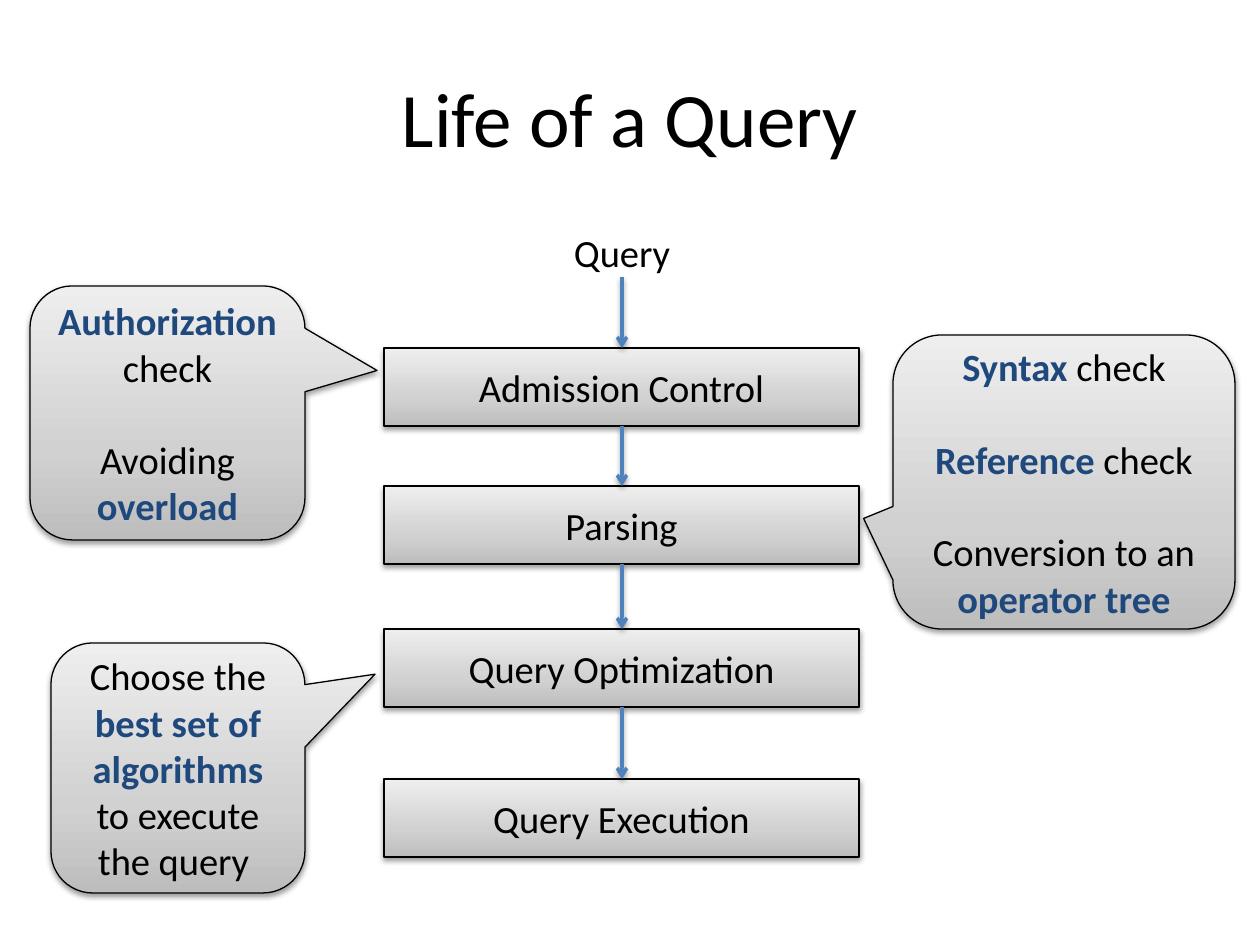
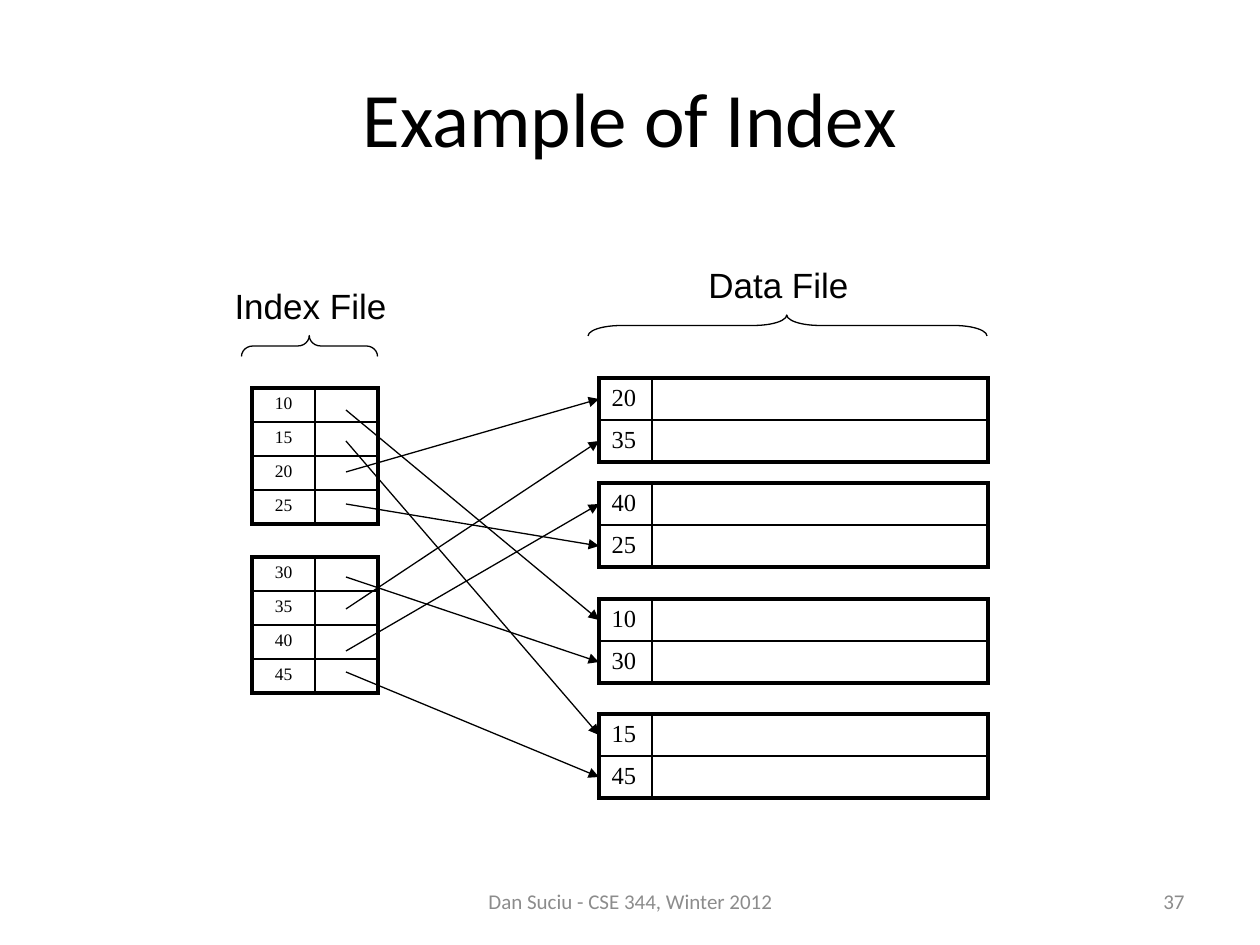
import pptx
import pptx.dml.color
import pptx.enum.dml
import pptx.enum.shapes
import pptx.enum.text
import pptx.oxml.ns
import pptx.util
from lxml import etree

PIXEL = 914400 / 126
BLACK, ARROW_BLUE, TERM_BLUE, GRAY = "000000", "4F81BD", "1F497D", "8C8C8C"
GRADIENT = [(0, "BDBDBD"), (35, "D1D1D1"), (100, "EEEEEE")]
BODY_FONT, LABEL_FONT, TABLE_FONT = "Calibri", "Arial", "Times New Roman"
BODY_SIZE = 22
BLANK_LINE = 26.5
THICK, THIN = 2.25, 1
ALIGN = pptx.enum.text.PP_ALIGN
ANCHOR = pptx.enum.text.MSO_ANCHOR
SHAPE = pptx.enum.shapes.MSO_SHAPE


def px(*values):
    return [pptx.util.Emu(round(value * PIXEL)) for value in values]


def color(value):
    return pptx.dml.color.RGBColor.from_string(value)


def child(parent, tag, **attributes):
    values = {name: str(value) for name, value in attributes.items()}
    return etree.SubElement(parent, pptx.oxml.ns.qn("a:" + tag), values)


def set_font(font, name, size, shade=BLACK):
    font.name = name
    font.size = pptx.util.Pt(size)
    font.color.rgb = color(shade)


def set_line(line, shade, width):
    line.color.rgb = color(shade)
    line.width = pptx.util.Pt(width)


def add_shadow(effects):
    shadow = child(effects, "outerShdw", blurRad=40000, dist=20000,
                   dir=5400000, rotWithShape=0)
    child(child(shadow, "srgbClr", val=BLACK), "alpha", val=38000)


def add_text(page, text, place, size, font=BODY_FONT, shade=BLACK,
             align=ALIGN.CENTER, anchor=ANCHOR.MIDDLE, wrap=True):
    box = page.shapes.add_textbox(*px(*place))
    box.text_frame.word_wrap = wrap
    box.text_frame.vertical_anchor = anchor
    para = box.text_frame.paragraphs[0]
    para.text = text
    para.alignment = align
    set_font(para.font, font, size, shade)
    return para


def add_title(page, text):
    add_text(page, text, (63, 38, 1134, 157), 44)


def add_panel(page, kind, place, paragraphs):
    panel = page.shapes.add_shape(kind, *px(*place))
    panel.fill.gradient()
    panel.fill.gradient_angle = 90
    stops = panel.element.spPr.find(".//" + pptx.oxml.ns.qn("a:gsLst"))
    stops.clear()
    for position, shade in GRADIENT:
        stop = child(stops, "gs", pos=position * 1000)
        child(stop, "srgbClr", val=shade)
    set_line(panel.line, BLACK, 0.75)
    panel.shadow.inherit = False
    add_shadow(panel.element.spPr.find(pptx.oxml.ns.qn("a:effectLst")))
    frame = panel.text_frame
    frame.word_wrap = True
    frame.vertical_anchor = ANCHOR.MIDDLE
    for index, spans in enumerate(paragraphs):
        para = frame.add_paragraph() if index else frame.paragraphs[0]
        para.alignment = ALIGN.CENTER
        if index:
            para.space_before = pptx.util.Pt(BLANK_LINE)
        set_font(para.font, BODY_FONT, BODY_SIZE)
        for text, is_term in spans:
            span = para.add_run()
            span.text = text
            if is_term:
                span.font.bold = True
                span.font.color.rgb = color(TERM_BLUE)
    return panel


def add_callout(page, place, tip, paragraphs):
    callout = add_panel(page, SHAPE.ROUNDED_RECTANGULAR_CALLOUT, place, paragraphs)
    callout.adjustments[0], callout.adjustments[1] = tip


def add_arrow(page, start, end, shade, width, head, shadow=False):
    arrow = page.shapes.add_connector(
        pptx.enum.shapes.MSO_CONNECTOR.STRAIGHT, *px(*start, *end))
    set_line(arrow.line, shade, width)
    child(arrow.line._get_or_add_ln(), "tailEnd", type=head)
    effects = child(arrow.element.spPr, "effectLst")
    if shadow:
        add_shadow(effects)


def set_borders(cell, widths):
    properties = cell._tc.get_or_add_tcPr()
    for side, width in zip("LRTB", widths):
        border = child(properties, "ln" + side, w=round(width * 12700))
        child(child(border, "solidFill"), "srgbClr", val=BLACK)


def add_records(page, left, top, widths, height, keys, size, align):
    count = len(keys)
    frame = page.shapes.add_table(count, 2, *px(left, top, sum(widths), height * count))
    table = frame.table
    table.first_row = table.horz_banding = False
    for column, width in zip(table.columns, widths):
        column.width = px(width)[0]
    for row, key in enumerate(keys):
        table.rows[row].height = px(height)[0]
        for column, text in enumerate((str(key), "")):
            cell = table.cell(row, column)
            outer = (column == 0, column == 1, row == 0, row == count - 1)
            set_borders(cell, [THICK if edge else THIN for edge in outer])
            cell.fill.background()
            para = cell.text_frame.paragraphs[0]
            para.alignment = align
            if text:
                para.text = text
                para.space_before = pptx.util.Pt(size * 0.2)
                set_font(para.font, TABLE_FONT, size)
            else:
                child(para._p, "endParaRPr", sz=size * 100)


def add_brace(page, place, curve):
    brace = page.shapes.add_shape(SHAPE.LEFT_BRACE, *px(*place))
    brace.rotation = 90
    brace.adjustments[0], brace.adjustments[1] = curve, 0.502
    brace.fill.background()
    set_line(brace.line, BLACK, 0.75)
    brace.shadow.inherit = False


def add_label(page, text, place):
    para = add_text(page, text, place, 20, LABEL_FONT,
                    align=ALIGN.RIGHT, anchor=ANCHOR.TOP)
    para.line_spacing = 0.9
    para.space_before = pptx.util.Pt(4)


def build_query_life(page):
    add_title(page, "Life of a Query")
    left, width, height = 384, 475, 78
    middle = 622
    steps = [("Admission Control", 348), ("Parsing", 486),
             ("Query Optimization", 629), ("Query Execution", 779)]
    for text, top in steps:
        add_panel(page, SHAPE.RECTANGLE, (left, top, width, height), [[(text, False)]])
    start = 277
    for text, top in steps:
        add_arrow(page, (middle, start), (middle, top), ARROW_BLUE, 2, "arrow", True)
        start = top + height
    add_text(page, "Query", (561, 223, 122, 59), BODY_SIZE,
             anchor=ANCHOR.TOP, wrap=False)
    add_callout(page, (30, 286, 275, 254), (0.762, -0.167), [
        [("Authorization", True), (" check", False)],
        [("Avoiding ", False), ("overload", True)]])
    add_callout(page, (893, 335, 342, 294), (-0.586, 0.124), [
        [("Syntax", True), (" check", False)],
        [("Reference", True), (" check", False)],
        [("Conversion to an ", False), ("operator tree", True)]])
    add_callout(page, (51, 643, 254, 250), (0.776, -0.375), [
        [("Choose the ", False), ("best set of algorithms ", True),
         ("to execute the query ", False)]])


def build_index_example(page):
    add_title(page, "Example of Index")
    add_text(page, "37", (903, 876, 294, 50), 12, shade=GRAY, align=ALIGN.RIGHT)
    add_text(page, "Dan Suciu - CSE 344, Winter 2012", (431, 876, 399, 50), 12,
             shade=GRAY)

    for top, keys in [(388, (10, 15, 20, 25)), (557, (30, 35, 40, 45))]:
        add_records(page, 252, top, (63, 63), 34, keys, 10, ALIGN.CENTER)

    data_left = 599
    targets = {}
    for top, keys in [(378, (20, 35)), (483, (40, 25)), (599, (10, 30)), (714, (15, 45))]:
        add_records(page, data_left, top, (53, 336), 40, keys, 14, ALIGN.LEFT)
        for row, key in enumerate(keys):
            targets[key] = top + 21 + 42 * row

    pointers = {10: 410, 15: 441, 20: 472, 25: 504, 30: 577, 35: 609, 40: 651, 45: 672}
    for key, start in pointers.items():
        add_arrow(page, (346, start), (data_left, targets[key]), BLACK, 0.75, "triangle")

    add_brace(page, (299, 278, 21, 136), 0.542)
    add_label(page, "Index File", (220, 283, 179, 53))
    add_brace(page, (777, 126, 21, 399), 1.584)
    add_label(page, "Data File", (672, 262, 189, 53))


def main():
    deck = pptx.Presentation()
    deck.slide_width, deck.slide_height = px(1260, 945)
    for build in (build_query_life, build_index_example):
        build(deck.slides.add_slide(deck.slide_layouts[6]))
    deck.save("out.pptx")


main()
